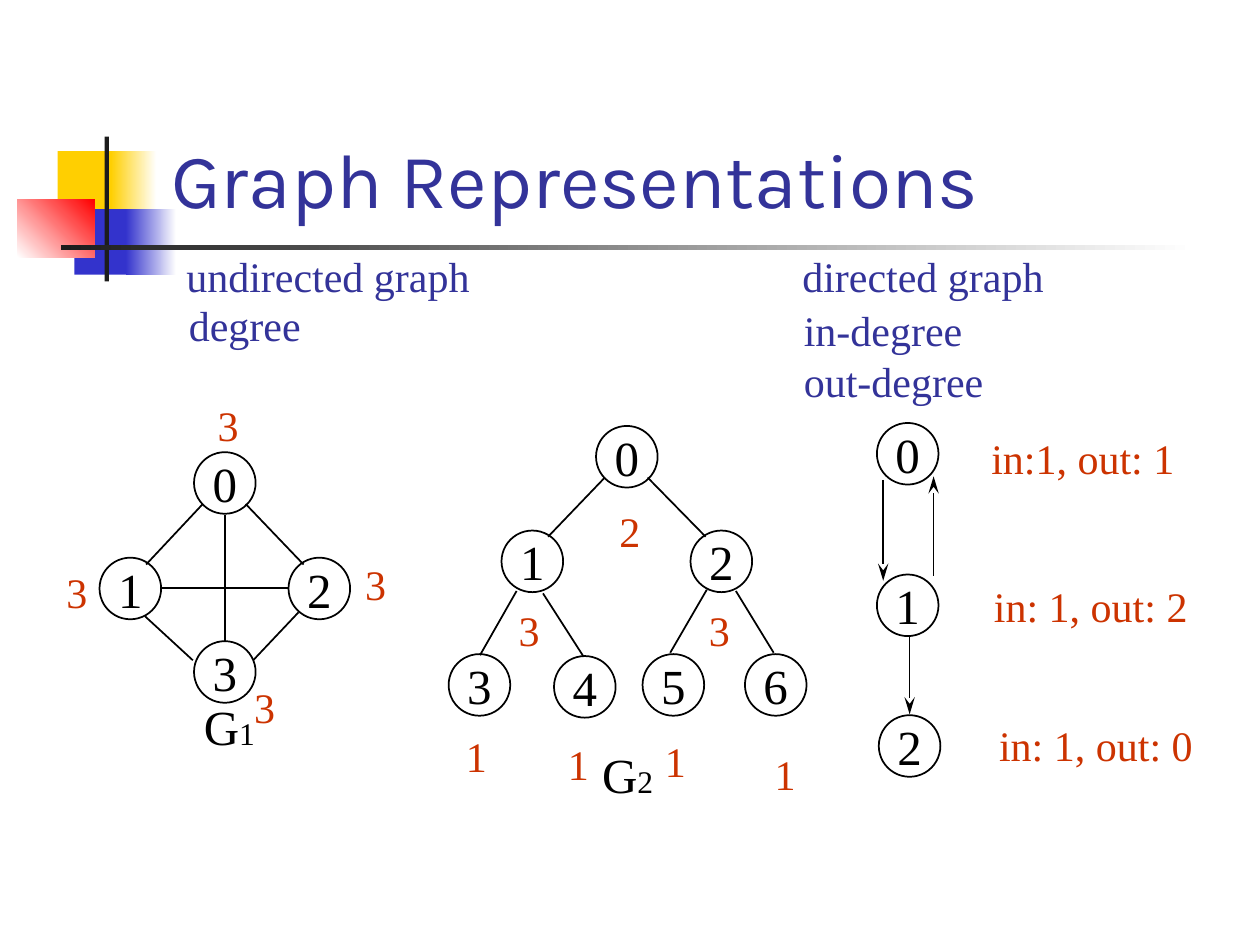
from lxml import etree
from pptx import Presentation
from pptx.dml.color import RGBColor
from pptx.enum import shapes, text
from pptx.oxml import ns
from pptx.util import Pt

SERIF = "Times New Roman"
BLACK, WHITE, NAVY, RUST = "000000", "FFFFFF", "333399", "CC3300"
YELLOW, BLUE, RED, DARK = "FFCF01", "3333CC", "FF0000", "1C1C1C"
NODE_SIZE = 35.2
DEGREE_SIZE = (26, 36)

# left, top, width, height, colours, gradient angle
DECORATION = [
    (33, 86.4, 34.6, 37.4, [YELLOW], 0),
    (63.4, 86.4, 26, 37.4, [YELLOW, WHITE], 0),
    (42.5, 119.5, 33.1, 37.4, [BLUE], 0),
    (72, 119.5, 28.8, 37.4, [BLUE, WHITE], 0),
    (10, 113.8, 44, 33.2, [WHITE, RED], 45),
    (59.8, 78, 2.4, 82.8, [DARK], 0),
    (34.8, 140.2, 648, 2.4, [DARK, WHITE], 0),
]

# nodes: label, centre; degrees: label, centre; edges: start, end
GRAPHS = [
    {
        "nodes": [("0", 128.5, 276), ("1", 74.5, 336.3),
                  ("2", 182.5, 336.3), ("3", 128.5, 384)],
        "degrees": [("3", 130.3, 242.6), ("3", 214.6, 333.4),
                    ("3", 43.9, 338.4), ("3", 151.2, 403.9)],
        "edges": [(128.5, 294.5, 128.5, 366.5), (92.2, 336.2, 164.6, 336.2),
                  (115.9, 288, 83.5, 322.6), (140.4, 288, 173.5, 322.6),
                  (82.8, 352.1, 110.2, 377.3), (170.6, 349.9, 144.7, 377.3)],
        "directed": False,
    },
    {
        "nodes": [("0", 358.2, 261), ("1", 304.2, 320.8), ("2", 412.2, 320.8),
                  ("3", 274, 391.4), ("4", 334.2, 392.5),
                  ("5", 384.8, 391.4), ("6", 443.3, 391.4)],
        "degrees": [("2", 360, 303.1), ("3", 302.4, 360), ("3", 411.1, 360),
                    ("1", 272.2, 432), ("1", 330.5, 436.3),
                    ("1", 385.9, 434.9), ("1", 448.6, 442.1)],
        "edges": [(345.6, 272.9, 313.2, 306.7), (370.1, 272.9, 403.2, 306.7),
                  (295.2, 337.7, 274.3, 374.4), (310.3, 339.1, 333.4, 375.1),
                  (403.9, 337, 383, 373), (420.5, 337.7, 442.1, 373)],
        "directed": False,
    },
    {
        "nodes": [("0", 518.7, 259.3), ("1", 518.7, 345.9), ("2", 519.8, 426.3)],
        "degrees": [],
        "edges": [(519.8, 364.3, 519.8, 408.2), (533.5, 329, 533.5, 272.2),
                  (504.7, 274.3, 504.7, 331.9)],
        "directed": True,
    },
]

# lines of text, left, top, width, height, colour
CAPTIONS = [
    (["undirected graph"], 99.4, 139.7, 180, 36, NAVY),
    (["degree"], 100.8, 167.8, 82, 36, NAVY),
    (["directed graph"], 451.4, 139.7, 156, 36, NAVY),
    (["in-degree", "out-degree"], 452.2, 170.6, 121, 64.8, NAVY),
    (["in:1, out: 1"], 559.4, 243.4, 124, 36, RUST),
    (["in: 1, out: 2"], 560.9, 328.3, 130, 36, RUST),
    (["in: 1, out: 0"], 563.8, 407.5, 130, 36, RUST),
]
GRAPH_NAMES = [("G", "1", 109.4, 394.6), ("G", "2", 337, 421.9)]


def rgb(value):
    return RGBColor.from_string(value)


def add_span(para, words, size, color, font=SERIF):
    span = para.add_run()
    span.text = words
    span.font.name, span.font.size = font, Pt(size)
    span.font.color.rgb = rgb(color)


def add_box(page, left, top, width, height, anchor=text.MSO_ANCHOR.MIDDLE):
    box = page.shapes.add_textbox(Pt(left), Pt(top), Pt(width), Pt(height))
    frame = box.text_frame
    frame.word_wrap = False
    frame.auto_size = text.MSO_AUTO_SIZE.NONE
    frame.vertical_anchor = anchor
    return frame


def add_decoration(page, left, top, width, height, colors, angle):
    block = page.shapes.add_shape(shapes.MSO_SHAPE.RECTANGLE,
                                  Pt(left), Pt(top), Pt(width), Pt(height))
    block.shadow.inherit = False
    block.line.fill.background()
    if len(colors) == 1:
        block.fill.solid()
        block.fill.fore_color.rgb = rgb(colors[0])
        return
    block.fill.gradient()
    block.fill.gradient_angle = angle
    for stop, color, position in zip(block.fill.gradient_stops, colors, (0, 1)):
        stop.color.rgb = rgb(color)
        stop.position = position


def add_node(page, label, x, y):
    node = page.shapes.add_shape(
        shapes.MSO_SHAPE.OVAL, Pt(x - NODE_SIZE / 2), Pt(y - NODE_SIZE / 2),
        Pt(NODE_SIZE), Pt(NODE_SIZE))
    node.shadow.inherit = False
    node.fill.solid()
    node.fill.fore_color.rgb = rgb(WHITE)
    node.line.color.rgb, node.line.width = rgb(BLACK), Pt(1)
    frame = node.text_frame
    frame.word_wrap = False
    frame.vertical_anchor = text.MSO_ANCHOR.MIDDLE
    para = frame.paragraphs[0]
    para.alignment = text.PP_ALIGN.CENTER
    add_span(para, label, 28, BLACK)


def add_edge(page, ends, directed):
    edge = page.shapes.add_connector(shapes.MSO_CONNECTOR.STRAIGHT,
                                     *[Pt(value) for value in ends])
    edge.line.color.rgb, edge.line.width = rgb(BLACK), Pt(1)
    if directed:
        etree.SubElement(edge.line._get_or_add_ln(), ns.qn("a:tailEnd"),
                         type="stealth", len="lg")
    etree.SubElement(edge._element.spPr, ns.qn("a:effectLst"))


def add_degree(page, label, x, y):
    width, height = DEGREE_SIZE
    frame = add_box(page, x - width / 2, y - height / 2, width, height)
    para = frame.paragraphs[0]
    para.alignment = text.PP_ALIGN.CENTER
    add_span(para, label, 24, RUST)


def main():
    deck = Presentation()
    deck.slide_width, deck.slide_height = Pt(720), Pt(540)
    page = deck.slides.add_slide(deck.slide_layouts[5])

    for block in DECORATION:
        add_decoration(page, *block)

    title = page.shapes.title
    title.left, title.top, title.width, title.height = Pt(90.7), Pt(16.6), Pt(613.4), Pt(115.2)
    title.text_frame.vertical_anchor = text.MSO_ANCHOR.BOTTOM
    heading = title.text_frame.paragraphs[0]
    heading.alignment = text.PP_ALIGN.LEFT
    add_span(heading, "Graph Representations", 44, NAVY, "Karla")
    title.element.getparent().append(title.element)  # in front of the decoration

    for graph in GRAPHS:
        for node in graph["nodes"]:
            add_node(page, *node)
        for ends in graph["edges"]:
            add_edge(page, ends, graph["directed"])
        for degree in graph["degrees"]:
            add_degree(page, *degree)

    for lines, left, top, width, height, color in CAPTIONS:
        frame = add_box(page, left, top, width, height)
        frame.word_wrap = True
        for index, words in enumerate(lines):
            para = frame.add_paragraph() if index else frame.paragraphs[0]
            add_span(para, words, 24, color)

    for letter, number, left, top in GRAPH_NAMES:
        para = add_box(page, left, top, 44, 41, text.MSO_ANCHOR.TOP).paragraphs[0]
        add_span(para, letter, 28, BLACK)
        add_span(para, number, 18, BLACK)

    deck.save("out.pptx")


if __name__ == "__main__":
    main()
